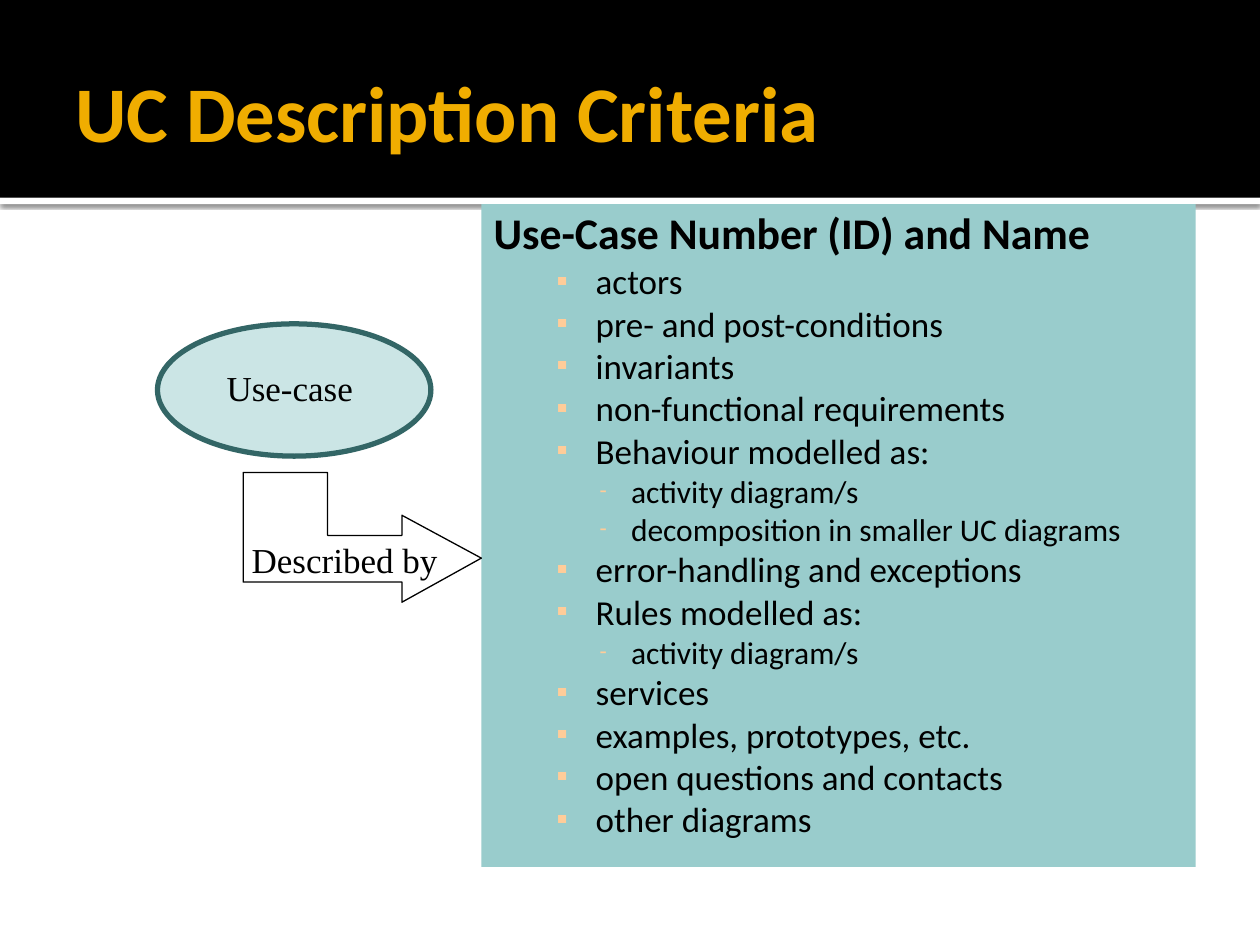
from lxml import etree
from pptx import Presentation
from pptx.dml.color import RGBColor
from pptx.enum import shapes, text
from pptx.oxml import ns
from pptx.util import Inches, Pt

BLACK = RGBColor(0x00, 0x00, 0x00)
WHITE = RGBColor(0xFF, 0xFF, 0xFF)
GOLD = RGBColor(0xF0, 0xAD, 0x00)
TEAL = RGBColor(0x99, 0xCC, 0xCC)
DARK_TEAL = RGBColor(0x33, 0x66, 0x66)
PEACH = RGBColor(0xFF, 0xCC, 0x99)

TITLE = "UC Description Criteria"
CRITERIA = [
    (0, "Use-Case Number (ID) and Name"),
    (1, "actors"),
    (1, "pre- and post-conditions"),
    (1, "invariants"),
    (1, "non-functional requirements"),
    (1, "Behaviour modelled as:"),
    (2, "activity diagram/s"),
    (2, "decomposition in smaller UC diagrams"),
    (1, "error-handling and exceptions"),
    (1, "Rules modelled as:"),
    (2, "activity diagram/s"),
    (1, "services"),
    (1, "examples, prototypes, etc."),
    (1, "open questions and contacts"),
    (1, "other diagrams"),
]
LEVELS = [
    dict(size=25, bold=True, left=0.37, indent=-0.37, spacing=0.93, before=5.5, bullet=None),
    dict(size=20, bold=False, left=0.81, indent=-0.31, spacing=0.8, before=5, bullet=("▪", 90)),
    dict(size=18, bold=False, left=1.09, indent=-0.25, spacing=0.8, before=4.5, bullet=("-", 75)),
]
LABELS = [
    ("Use-case", (1.61, 2.88, 1.38, 0.43)),
    ("Described by", (1.99, 4.3, 1.49, 0.31)),
]
ARROW = [(2.6, 3.75), (2.6, 4.25), (3.19, 4.25), (3.19, 4.09), (3.82, 4.43),
         (3.19, 4.78), (3.19, 4.62), (1.93, 4.62), (1.93, 3.75)]

prs = Presentation()
prs.slide_width, prs.slide_height = Inches(10), Inches(7.5)
slide = prs.slides.add_slide(prs.slide_layouts[6])


def sub(parent, tag, **attributes):
    return etree.SubElement(parent, ns.qn(tag), attributes)


def add_block(kind, box, color):
    block = slide.shapes.add_shape(kind, *map(Inches, box))
    block.shadow.inherit = False
    block.fill.solid()
    block.fill.fore_color.rgb = color
    block.line.fill.background()
    return block


def add_frame(box, anchor=text.MSO_ANCHOR.TOP, wrap=True):
    frame = slide.shapes.add_textbox(*map(Inches, box)).text_frame
    frame.word_wrap = wrap
    frame.vertical_anchor = anchor
    return frame


def write(paragraph, content, size, color, font="Calibri", bold=False, spacing=0.93):
    paragraph.text = content
    paragraph.line_spacing = spacing
    paragraph.font.name = font
    paragraph.font.size = Pt(size)
    paragraph.font.bold = bold
    paragraph.font.color.rgb = color


def add_bullet(paragraph, level):
    properties = paragraph._p.get_or_add_pPr()
    properties.set("marL", str(Inches(level["left"])))
    properties.set("indent", str(Inches(level["indent"])))
    paragraph.space_before = Pt(level["before"])
    paragraph.line_spacing = level["spacing"]
    if level["bullet"]:
        mark, percent = level["bullet"]
        sub(sub(properties, "a:buClr"), "a:srgbClr", val=str(PEACH))
        sub(properties, "a:buSzPct", val=str(percent * 1000))
        sub(properties, "a:buFont", typeface="Calibri")
        sub(properties, "a:buChar", char=mark)
    else:
        sub(properties, "a:buNone")


rule = add_block(shapes.MSO_SHAPE.RECTANGLE, (0, 1.57, 10, 0.05), WHITE)
rule_shadow = sub(rule._element.spPr.find(ns.qn("a:effectLst")), "a:outerShdw",
                  blurRad=str(Pt(2.5)), dist=str(Pt(0.8)), dir="5400000",
                  algn="tl", rotWithShape="0")
sub(sub(rule_shadow, "a:srgbClr", val=str(BLACK)), "a:alpha", val="60000")
add_block(shapes.MSO_SHAPE.RECTANGLE, (0, 0, 10, 1.57), BLACK)

title = add_frame((0.5, 0.4, 9, 1.05), text.MSO_ANCHOR.MIDDLE)
write(title.paragraphs[0], TITLE, 45, GOLD, bold=True)

add_block(shapes.MSO_SHAPE.RECTANGLE, (3.82, 1.62, 5.67, 5.26), TEAL)
criteria = add_frame((3.82, 1.62, 5.67, 5.36))
for i, (depth, criterion) in enumerate(CRITERIA):
    level = LEVELS[depth]
    line = criteria.paragraphs[0] if i == 0 else criteria.add_paragraph()
    line.level = depth
    add_bullet(line, level)
    write(line, criterion, level["size"], BLACK, bold=level["bold"], spacing=level["spacing"])

use_case = add_block(shapes.MSO_SHAPE.OVAL, (1.25, 2.57, 2.17, 1.05), TEAL)
use_case.line.color.rgb = DARK_TEAL
use_case.line.width = Pt(3)
tint = use_case._element.spPr.find(ns.qn("a:solidFill"))[0]
sub(tint, "a:alpha", val="50000")

corners = [(Inches(x), Inches(y)) for x, y in ARROW]
builder = slide.shapes.build_freeform(*corners[0])
builder.add_line_segments(corners[1:], close=True)
arrow = builder.convert_to_shape()
arrow.shadow.inherit = False
arrow.fill.background()
arrow.line.color.rgb = BLACK
arrow.line.width = Pt(0.75)

for label, box in LABELS:
    frame = add_frame(box, text.MSO_ANCHOR.MIDDLE, wrap=False)
    frame.margin_left = frame.margin_right = frame.margin_top = frame.margin_bottom = 0
    write(frame.paragraphs[0], label, 20, BLACK, font="Times New Roman")
    frame.paragraphs[0].alignment = text.PP_ALIGN.CENTER

prs.save("out.pptx")
